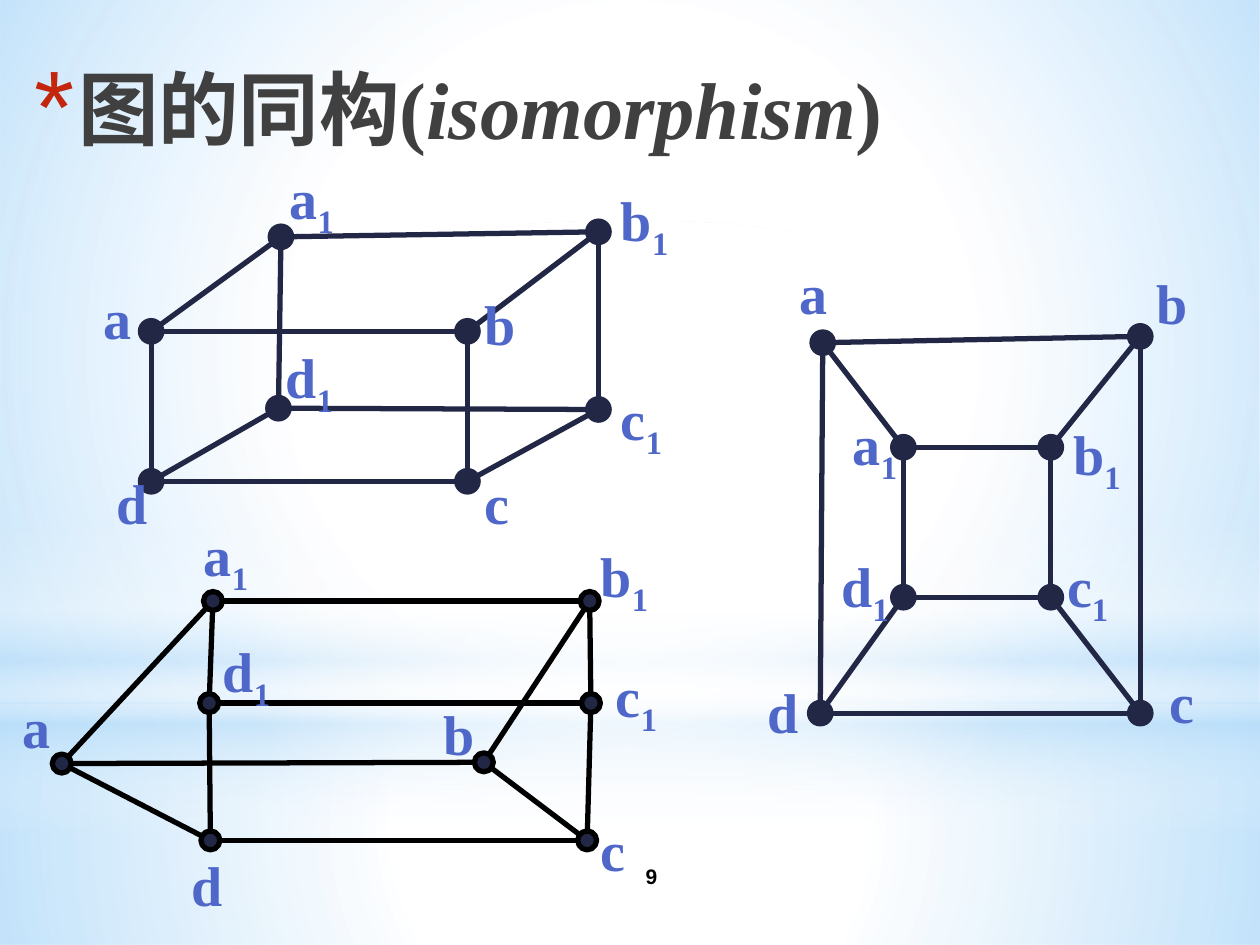
from itertools import chain

from pptx import Presentation
from pptx.dml.color import RGBColor
from pptx.enum.shapes import MSO_CONNECTOR, MSO_SHAPE
from pptx.enum.text import MSO_ANCHOR, MSO_AUTO_SIZE, PP_ALIGN
from pptx.oxml import parse_xml
from pptx.oxml.ns import nsdecls
from pptx.oxml.xmlchemy import OxmlElement
from pptx.util import Inches, Pt

NAVY = RGBColor(0x21, 0x27, 0x45)
BLACK = RGBColor(0x00, 0x00, 0x00)
GREY = RGBColor(0x40, 0x40, 0x40)
BLUE = RGBColor(0x4E, 0x67, 0xC8)
RED = RGBColor(0xC3, 0x26, 0x0C)
WHITE = RGBColor(0xFF, 0xFF, 0xFF)
SKY = RGBColor(0xB4, 0xDC, 0xFA)

RADIAL = ('<a:path path="circle"><a:fillToRect l="50000" t="50000" '
          'r="50000" b="50000"/></a:path>')
VERTICAL = '<a:lin ang="5400000" scaled="0"/>'

BACKDROP = [
    (MSO_SHAPE.RECTANGLE, (0, 5.58, 10, 1.92), RADIAL,
     [(0, WHITE, 91), (37, WHITE, 76), (100, SKY, 79)]),
    (MSO_SHAPE.RECTANGLE, (0, 0, 10, 5.58), RADIAL,
     [(0, WHITE, 89), (48, WHITE, 62), (100, SKY, 79)]),
    (MSO_SHAPE.RECTANGLE, (0, 4.12, 10, 2.5), VERTICAL,
     [(0, WHITE, 0), (29, WHITE, 30), (45, SKY, 40),
      (55, WHITE, 26), (65, SKY, 60), (100, WHITE, 0)]),
    (MSO_SHAPE.OVAL, (0, 1.75, 10, 5.58), RADIAL,
     [(0, WHITE, 100), (56, WHITE, 0)]),
]

RING = ["ab", "bc", "cd", "da"]
EDGES = list(chain(
    ((start, end) for start, end in RING),
    ((start + "1", end + "1") for start, end in RING),
    ((corner, corner + "1") for corner in "abcd"),
))
LABEL_WIDTH = {"a": 0.42, "b": 0.45, "c": 0.4, "d": 0.45}

BOX = {
    "a": ((1.2, 2.63), (0.72, 2.2)), "b": ((3.71, 2.63), (3.75, 2.25)),
    "c": ((3.71, 3.82), (3.75, 3.67)), "d": ((1.2, 3.82), (0.83, 3.67)),
    "a1": ((2.23, 1.88), (2.2, 1.25)), "b1": ((4.75, 1.84), (4.83, 1.42)),
    "c1": ((4.75, 3.25), (4.83, 3)), "d1": ((2.21, 3.24), (2.17, 2.67)),
}
NESTED = {
    "a": ((6.53, 2.72), (6.25, 2)), "b": ((9.05, 2.67), (9.08, 2.08)),
    "c": ((9.05, 5.66), (9.18, 5.25)), "d": ((6.51, 5.66), (5.99, 5.33)),
    "a1": ((7.17, 3.55), (6.67, 3.2)), "b1": ((8.34, 3.55), (8.42, 3.28)),
    "c1": ((8.34, 4.74), (8.37, 4.33)), "d1": ((7.17, 4.74), (6.58, 4.33)),
}
PRISM = {
    "a": ((0.49, 6.06), (0.08, 5.45)), "b": ((3.84, 6.05), (3.42, 5.5)),
    "c": ((4.66, 6.67), (4.67, 6.42)), "d": ((1.67, 6.67), (1.42, 6.7)),
    "a1": ((1.69, 4.77), (1.52, 4.08)), "b1": ((4.68, 4.77), (4.67, 4.25)),
    "c1": ((4.69, 5.58), (4.79, 5.2)), "d1": ((1.66, 5.58), (1.67, 5)),
}


class GraphSlide:
    """Draws titled, labelled graphs on one slide in a single style."""

    font = "Times New Roman"
    stroke = Pt(3)

    def __init__(self, deck):
        self.slide = deck.slides.add_slide(deck.slide_layouts[5])
        self.shapes = self.slide.shapes

    def backdrop(self, outline, bounds, direction, stops):
        panel = self.shapes.add_shape(outline, *map(Inches, bounds))
        panel.shadow.inherit = False
        panel.line.fill.background()
        colours = "".join(
            f'<a:gs pos="{place * 1000}"><a:srgbClr val="{colour}">'
            f'<a:alpha val="{alpha * 1000}"/></a:srgbClr></a:gs>'
            for place, colour, alpha in stops)
        panel._element.spPr.insert(2, parse_xml(
            f'<a:gradFill {nsdecls("a")} rotWithShape="1">'
            f'<a:gsLst>{colours}</a:gsLst>{direction}</a:gradFill>'))

    def title(self, parts):
        heading = self.shapes.title
        self.shapes._spTree.append(heading._element)
        heading.left, heading.top = Inches(0.17), Inches(0.42)
        heading.width, heading.height = Inches(8.5), Inches(0.83)
        frame = heading.text_frame
        frame.auto_size = MSO_AUTO_SIZE.NONE
        frame.vertical_anchor = MSO_ANCHOR.TOP
        line = frame.paragraphs[0]
        line.alignment = PP_ALIGN.LEFT
        properties = line._p.get_or_add_pPr()
        properties.set("marL", str(Inches(0.35)))
        properties.set("indent", str(-Inches(0.35)))
        for bullet in (f'buClr {nsdecls("a")}><a:srgbClr val="{RED}"/></a:buClr',
                       f'buSzPct {nsdecls("a")} val="128000"/',
                       f'buFont {nsdecls("a")} typeface="Arial"/',
                       f'buChar {nsdecls("a")} char="*"/'):
            properties.append(parse_xml(f"<a:{bullet}>"))
        self.style(line.font, 46, GREY)
        for words, italic in parts:
            run = line.add_run()
            run.text = words
            run.font.italic = italic

    def style(self, font, size, colour, name=font):
        font.name, font.size, font.bold = name, Pt(size), True
        font.color.rgb = colour

    def page_number(self, number):
        box = self.shapes.add_textbox(
            Inches(4.17), Inches(6.75), Inches(2), Inches(0.4))
        frame = box.text_frame
        frame.word_wrap = True
        frame.vertical_anchor = MSO_ANCHOR.MIDDLE
        line = frame.paragraphs[0]
        line.text = number
        line.alignment = PP_ALIGN.CENTER
        self.style(line.font, 12, BLACK, "Arial")

    def edge(self, group, start, end, colour):
        link = group.shapes.add_connector(
            MSO_CONNECTOR.STRAIGHT, *map(Inches, start + end))
        link.line.color.rgb = colour
        link.line.width = self.stroke
        link._element.spPr.append(OxmlElement("a:effectLst"))

    def vertex(self, group, centre, size, colour):
        x, y = centre
        dot = group.shapes.add_shape(
            MSO_SHAPE.OVAL, Inches(x - size / 2), Inches(y - size / 2),
            Inches(size), Inches(size))
        dot.shadow.inherit = False
        dot.fill.solid()
        dot.fill.fore_color.rgb = NAVY
        dot.line.color.rgb = colour
        dot.line.width = self.stroke

    def label(self, group, name, corner):
        letter, subscript = name[0], name[1:]
        width = LABEL_WIDTH[letter] + (0.15 if subscript else 0)
        box = group.shapes.add_textbox(
            *map(Inches, corner), Inches(width), Inches(0.63))
        frame = box.text_frame
        frame.word_wrap = False
        frame.auto_size = MSO_AUTO_SIZE.SHAPE_TO_FIT_TEXT
        line = frame.paragraphs[0]
        self.style(line.font, 32, BLUE)
        line.add_run().text = letter
        if subscript:
            index = line.add_run()
            index.text = subscript
            index._r.get_or_add_rPr().set("baseline", "-25000")

    def graph(self, vertices, dot_size, colour):
        drawing = self.shapes.add_group_shape()
        for start, end in EDGES:
            self.edge(drawing, vertices[start][0], vertices[end][0], colour)
        for centre, _ in vertices.values():
            self.vertex(drawing, centre, dot_size, colour)
        names = self.shapes.add_group_shape()
        for name, (_, corner) in vertices.items():
            self.label(names, name, corner)


def main():
    deck = Presentation()
    deck.slide_width, deck.slide_height = Inches(10), Inches(7.5)
    page = GraphSlide(deck)
    for panel in BACKDROP:
        page.backdrop(*panel)
    page.page_number("9")
    page.title([("图的同构(", False), ("isomorphism", True), (")", False)])
    page.graph(BOX, 0.17, NAVY)
    page.graph(NESTED, 0.17, NAVY)
    page.graph(PRISM, 0.15, BLACK)
    deck.save("out.pptx")


if __name__ == "__main__":
    main()
